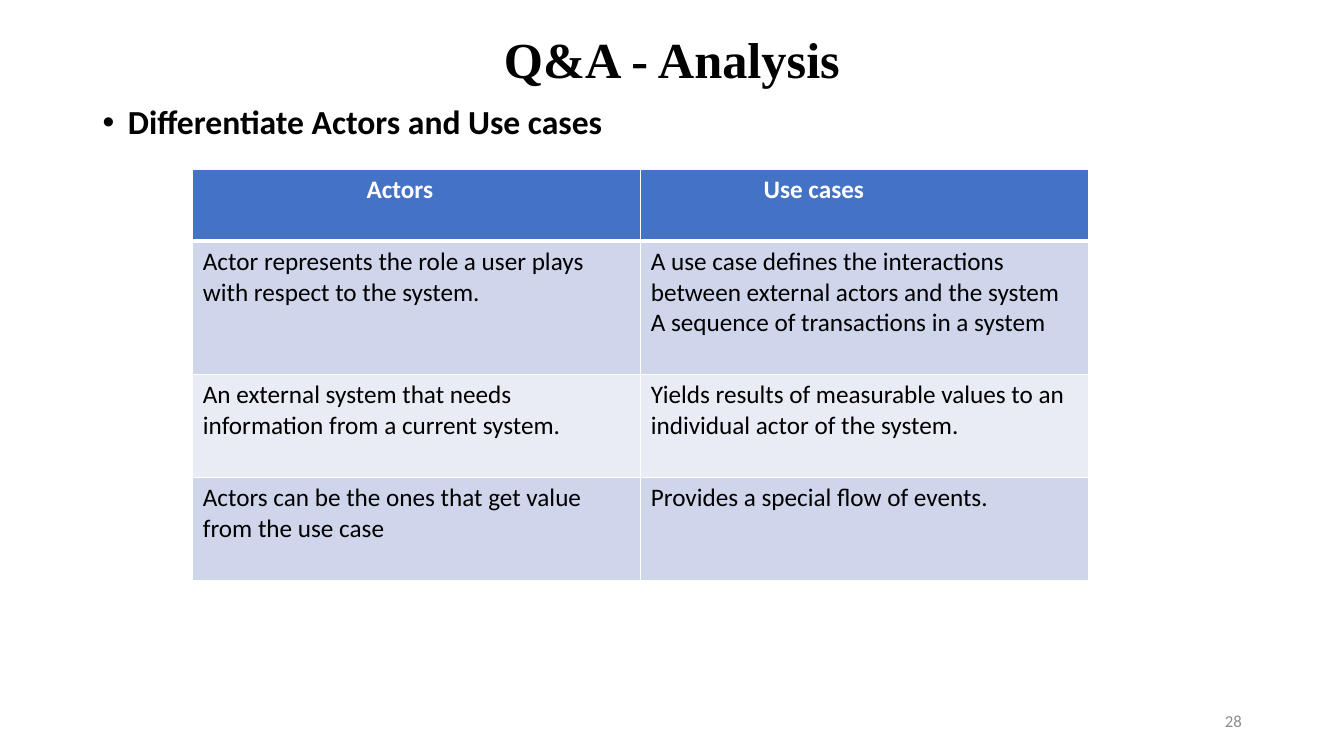
"""Build the slide that compares actors and use cases in a table."""
from lxml import etree
from pptx import Presentation
from pptx.dml.color import RGBColor
from pptx.enum import text
from pptx.oxml import ns
from pptx.util import Cm, Pt

TITLE = "Q&A - Analysis"
BULLET = "Differentiate Actors and Use cases"
PAGE = "28"
ROWS = [
    ("Actors", "Use cases"),
    ("Actor represents the role a user plays with respect to the system.",
     "A use case defines the interactions between external actors and the system\n"
     "A sequence of transactions in a system"),
    ("An external system that needs information from a current system.",
     "Yields results of measurable values to an individual actor of the system."),
    ("Actors can be the ones that get value from the use case",
     "Provides a special flow of events."),
]
ROW_HEIGHTS = [1.81, 3.36, 2.59, 2.59]
COLUMN_WIDTH = 11.29
HEADER_RIGHT_MARGINS = [1.11, 2.82]
HEADER_FILL, BAND_FILLS = "4472C4", ["E9EBF5", "CFD5EA"]
WHITE, BLACK, GREY = "FFFFFF", "000000", "8C8C8C"


def rgb(value):
    return RGBColor.from_string(value)


def place(shape, left, top, width, height):
    shape.left, shape.top = Cm(left), Cm(top)
    shape.width, shape.height = Cm(width), Cm(height)


def write(tf, content, size, color, align, bold=False, font="Calibri", spacing=1.0):
    tf.text = content
    for p in tf.paragraphs:
        p.alignment, p.line_spacing = align, spacing
        p.space_before = Pt(0)
        for r in p.runs:
            r.font.name, r.font.size, r.font.bold = font, Pt(size), bold
            r.font.color.rgb = rgb(color)


def add_bullet(p):
    pPr = p._p.get_or_add_pPr()
    pPr.set("marL", str(Cm(0.64)))
    pPr.set("indent", str(Cm(-0.64)))
    etree.SubElement(pPr, ns.qn("a:buFont")).set("typeface", "Arial")
    etree.SubElement(pPr, ns.qn("a:buChar")).set("char", "•")


def add_borders(cell, top, bottom):
    tcPr = cell._tc.get_or_add_tcPr()
    for i, (side, width) in enumerate(zip("LRTB", (1, 1, top, bottom))):
        ln = etree.Element(ns.qn(f"a:ln{side}"), w=str(Pt(width)))
        fill = etree.SubElement(ln, ns.qn("a:solidFill"))
        etree.SubElement(fill, ns.qn("a:srgbClr")).set("val", WHITE)
        tcPr.insert(i, ln)


def add_comparison(s):
    table = s.shapes.add_table(len(ROWS), 2, Cm(4.86), Cm(4.27),
                               Cm(2 * COLUMN_WIDTH), Cm(sum(ROW_HEIGHTS))).table
    for column in table.columns:
        column.width = Cm(COLUMN_WIDTH)
    for i, (row, height) in enumerate(zip(ROWS, ROW_HEIGHTS)):
        table.rows[i].height = Cm(height)
        header = i == 0
        for j, content in enumerate(row):
            cell = table.cell(i, j)
            cell.fill.solid()
            cell.fill.fore_color.rgb = rgb(HEADER_FILL if header else BAND_FILLS[i % 2])
            add_borders(cell, 3 if i == 1 else 1, 3 if header else 1)
            if header:
                cell.margin_right = Cm(HEADER_RIGHT_MARGINS[j])
            align = text.PP_ALIGN.CENTER if header else text.PP_ALIGN.LEFT
            write(cell.text_frame, content, 18, WHITE if header else BLACK, align, header)


def main():
    prs = Presentation()
    prs.slide_width, prs.slide_height = Cm(33.87), Cm(19.05)
    s = prs.slides.add_slide(prs.slide_layouts[1])

    title, body = s.placeholders
    place(title, 2.33, 0.38, 29.21, 2.39)
    write(title.text_frame, TITLE, 36, BLACK, text.PP_ALIGN.CENTER, True,
          "Times New Roman", 0.9)
    title.text_frame.vertical_anchor = text.MSO_ANCHOR.MIDDLE

    place(body, 2.33, 2.54, 29.21, 14.63)
    write(body.text_frame, BULLET, 24, BLACK, text.PP_ALIGN.JUSTIFY, True, spacing=0.9)
    add_bullet(body.text_frame.paragraphs[0])
    for sp in (title, body):
        sp.text_frame.auto_size = text.MSO_AUTO_SIZE.NONE

    add_comparison(s)

    number = s.shapes.add_textbox(Cm(23.93), Cm(17.65), Cm(7.62), Cm(1.02))
    tf = number.text_frame
    tf.word_wrap = True
    tf.vertical_anchor = text.MSO_ANCHOR.MIDDLE
    write(tf, PAGE, 12, GREY, text.PP_ALIGN.RIGHT)
    prs.save("out.pptx")


if __name__ == "__main__":
    main()
